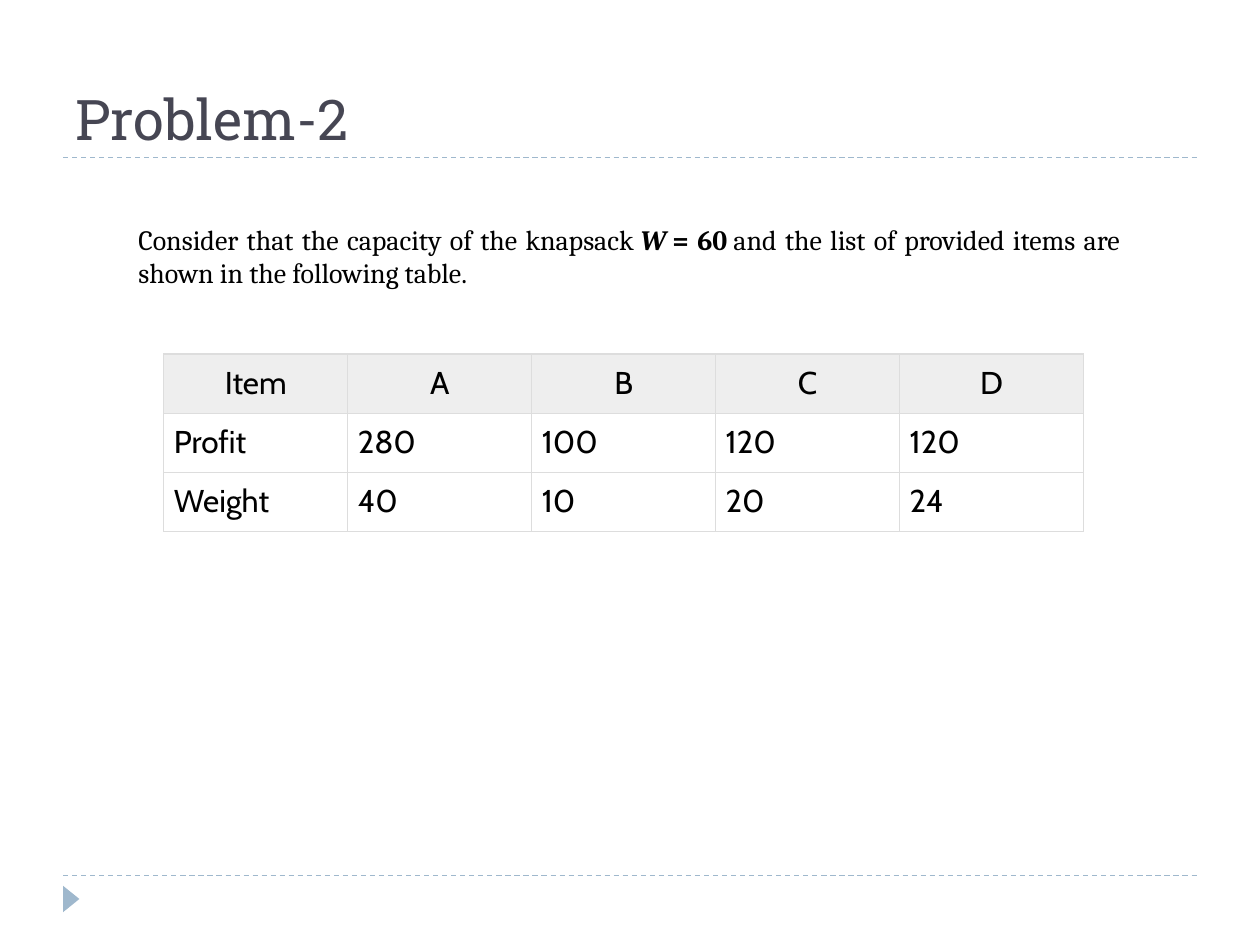
import pptx
import pptx.util
import pptx.dml.color
import pptx.enum.dml
import pptx.enum.shapes
import pptx.enum.text
import pptx.oxml
import pptx.oxml.ns
from lxml import etree

Inch, Pt = pptx.util.Inches, pptx.util.Pt
Align, Anchor = pptx.enum.text.PP_ALIGN, pptx.enum.text.MSO_ANCHOR
qn = pptx.oxml.ns.qn

# Content
TITLE = "Problem-2"
INTRO = [  # text, bold, italic
    ("Consider that the capacity of the knapsack\u00a0", False, False),
    ("W", True, True),
    ("\u00a0= 60", True, False),
    ("\u00a0and the list of provided items are shown in the following table.", False, False),
]
ITEMS = [
    ("Item", "A", "B", "C", "D"),
    ("Profit", "280", "100", "120", "120"),
    ("Weight", "40", "10", "20", "24"),
]

# Layout in inches
WIDE, HIGH, EDGE = 10, 7.5, 0.5
RULES = (6.95, 1.25)
LEFT, TOP, COL, ROW, PAD = 1.3, 2.81, 1.46, 0.47, 0.08
BLUE, INK, BLACK, HEAD, GRID = "9FB8CD", "464653", "000000", "EEEEEE", "DDDDDD"


def color(code):
    return pptx.dml.color.RGBColor.from_string(code)


def style(run, font, size, code, bold=False, slant=False):
    run.font.name, run.font.size = font, Pt(size)
    run.font.color.rgb = color(code)
    run.font.bold, run.font.italic = bold, slant


def add_text(slide, box, anchor):
    frame = slide.shapes.add_textbox(*map(Inch, box)).text_frame
    frame.word_wrap, frame.vertical_anchor = True, anchor
    return frame


def add_rule(slide, y):
    rule = slide.shapes.add_connector(
        pptx.enum.shapes.MSO_CONNECTOR.STRAIGHT,
        Inch(EDGE), Inch(y), Inch(WIDE - EDGE), Inch(y))
    rule.line.color.rgb = color(BLUE)
    rule.line.width = Pt(0.75)
    rule.line.dash_style = pptx.enum.dml.MSO_LINE.DASH
    etree.SubElement(rule._element.spPr, qn("a:effectLst"))


def add_border(cell):
    props = cell._tc.get_or_add_tcPr()
    for spot, side in enumerate(("lnL", "lnR", "lnT", "lnB")):
        line = etree.Element(qn("a:" + side), w=str(Pt(0.75)))
        fill = etree.SubElement(line, qn("a:solidFill"))
        etree.SubElement(fill, qn("a:srgbClr"), val=GRID)
        props.insert(spot, line)


def add_items(slide):
    rows, cols = len(ITEMS), len(ITEMS[0])
    table = slide.shapes.add_table(
        rows, cols, Inch(LEFT), Inch(TOP), Inch(COL * cols), Inch(ROW * rows)).table
    table.horz_banding = False
    for r, values in enumerate(ITEMS):
        for c, value in enumerate(values):
            cell = table.cell(r, c)
            cell.margin_left = cell.margin_right = Inch(PAD)
            cell.margin_top = cell.margin_bottom = Inch(PAD)
            cell.text_frame.text = value
            para = cell.text_frame.paragraphs[0]
            style(para.runs[0], "Cabin", 18, BLACK)
            if r == 0:
                para.alignment = Align.CENTER
                cell.fill.solid()
                cell.fill.fore_color.rgb = color(HEAD)
            else:
                cell.fill.background()
            add_border(cell)


def main():
    deck = pptx.Presentation()
    deck.slide_width, deck.slide_height = Inch(WIDE), Inch(HIGH)
    slide = deck.slides.add_slide(deck.slide_layouts[6])

    # Dashed rules and page marker
    for y in RULES:
        add_rule(slide, y)
    mark = slide.shapes.add_shape(
        pptx.enum.shapes.MSO_SHAPE.ISOSCELES_TRIANGLE,
        Inch(0.46), Inch(7.07), Inch(0.21), Inch(0.13))
    mark.rotation = 90
    mark.shadow.inherit = False
    mark.fill.solid()
    mark.fill.fore_color.rgb = color(BLUE)
    mark.line.fill.background()

    # Title
    frame = add_text(slide, (EDGE, 0.17, WIDE - 2 * EDGE, 1.08), Anchor.BOTTOM)
    frame.text = TITLE
    style(frame.paragraphs[0].runs[0], "Roboto Slab", 32, INK)

    add_items(slide)

    # Problem statement
    frame = add_text(slide, (1, 1.71, 7.99, 0.64), Anchor.MIDDLE)
    frame.auto_size = pptx.enum.text.MSO_AUTO_SIZE.SHAPE_TO_FIT_TEXT
    para = frame.paragraphs[0]
    para.alignment = Align.JUSTIFY
    for text, bold, slant in INTRO:
        run = para.add_run()
        run.text = text
        style(run, "Cambria", 16, BLACK, bold, slant)

    deck.save("out.pptx")


if __name__ == "__main__":
    main()
